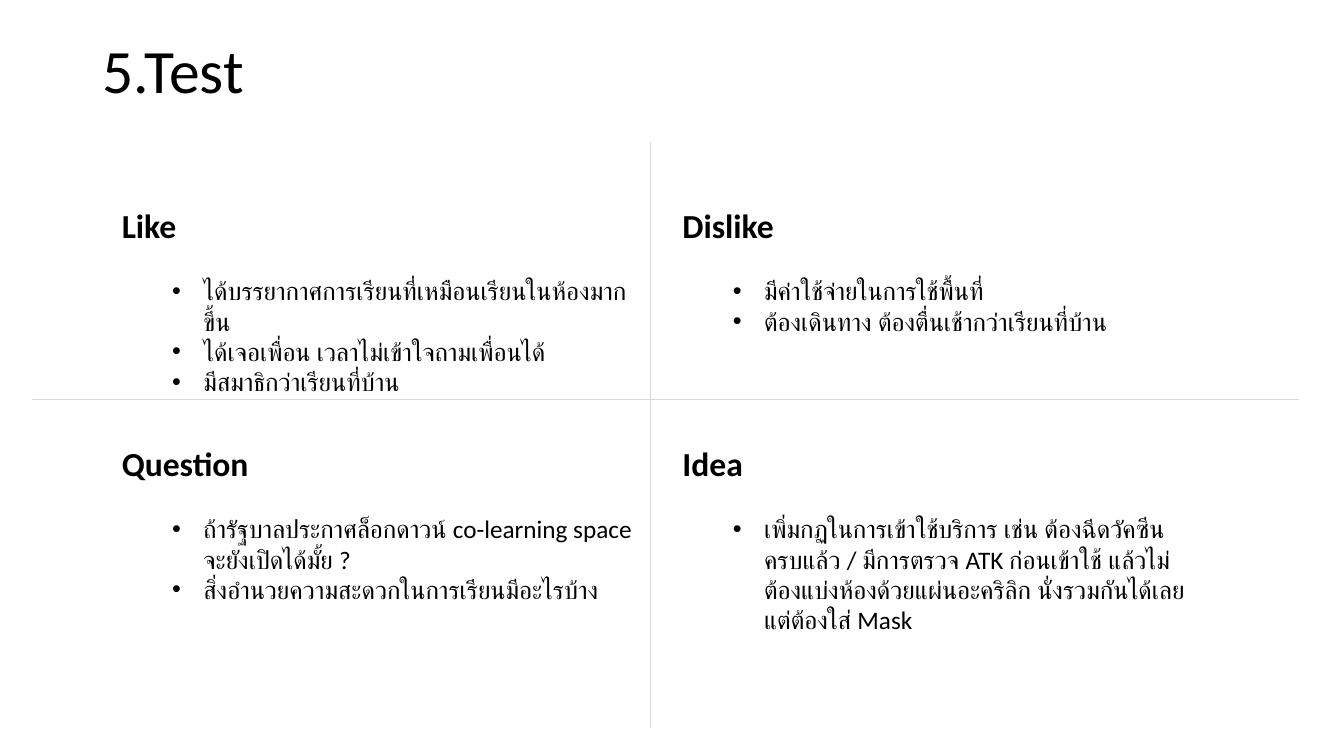
from dataclasses import dataclass

from lxml.etree import SubElement
from pptx import Presentation
from pptx.dml.color import RGBColor
from pptx.enum.shapes import MSO_CONNECTOR, MSO_SHAPE
from pptx.enum.text import MSO_ANCHOR, PP_ALIGN
from pptx.oxml.ns import qn
from pptx.util import Inches, Pt


@dataclass(frozen=True)
class Theme:
    font: str = "Calibri"
    ink: RGBColor = RGBColor(0x00, 0x00, 0x00)
    paper: RGBColor = RGBColor(0xFF, 0xFF, 0xFF)
    rule: RGBColor = RGBColor(0xD9, 0xD9, 0xD9)
    rule_width: float = 0.5
    title: int = 44
    heading: int = 24
    body: int = 18
    heading_gap: int = 22


THEME = Theme()
COLUMNS = (1.11, 6.67)
ROWS = ((1.98, 2.11), (4.34, 2.98))
QUADRANT_WIDTH = 5.34

FEEDBACK = (
    (
        ("Like", (
            "ได้บรรยากาศการเรียนที่เหมือนเรียนในห้องมากขึ้น",
            "ได้เจอเพื่อน เวลาไม่เข้าใจถามเพื่อนได้",
            "มีสมาธิกว่าเรียนที่บ้าน",
        )),
        ("Dislike", (
            "มีค่าใช้จ่ายในการใช้พื้นที่",
            "ต้องเดินทาง ต้องตื่นเช้ากว่าเรียนที่บ้าน",
        )),
    ),
    (
        ("Question", (
            "ถ้ารัฐบาลประกาศล็อกดาวน์ co-learning space จะยังเปิดได้มั้ย ?",
            "สิ่งอำนวยความสะดวกในการเรียนมีอะไรบ้าง",
        )),
        ("Idea", (
            "เพิ่มกฏในการเข้าใช้บริการ เช่น ต้องฉีดวัคซีนครบแล้ว / มีการตรวจ ATK ก่อนเข้าใช้ "
            "แล้วไม่ต้องแบ่งห้องด้วยแผ่นอะคริลิก นั่งรวมกันได้เลย แต่ต้องใส่ Mask",
        )),
    ),
)


def write(paragraph, text, *, size, bold=False, bullet=False, before=0, spacing=1.0):
    paragraph.alignment = PP_ALIGN.LEFT
    paragraph.space_before = Pt(before)
    paragraph.line_spacing = spacing
    if bullet:
        paragraph.level = 1
        properties = paragraph._p.get_or_add_pPr()
        properties.set("marL", str(Inches(0.81)))
        properties.set("indent", str(Inches(-0.31)))
        SubElement(properties, qn("a:buFont"), typeface="Arial")
        SubElement(properties, qn("a:buChar"), char="•")
    run = paragraph.add_run()
    run.text = text
    run.font.name = THEME.font
    run.font.size = Pt(size)
    run.font.bold = bold
    run.font.color.rgb = THEME.ink


def add_title(slide, text):
    title = slide.shapes.add_textbox(Inches(0.92), 0, Inches(11.5), Inches(1.45))
    frame = title.text_frame
    frame.word_wrap = True
    frame.vertical_anchor = MSO_ANCHOR.MIDDLE
    write(frame.paragraphs[0], text, size=THEME.title, spacing=0.9)


def add_quadrant(slide, left, top, height, heading, remarks):
    quadrant = slide.shapes.add_shape(
        MSO_SHAPE.RECTANGLE, Inches(left), Inches(top),
        Inches(QUADRANT_WIDTH), Inches(height),
    )
    quadrant.shadow.inherit = False
    quadrant.fill.solid()
    quadrant.fill.fore_color.rgb = THEME.paper
    quadrant.line.fill.background()
    frame = quadrant.text_frame
    frame.word_wrap = True
    frame.vertical_anchor = MSO_ANCHOR.TOP
    write(frame.paragraphs[0], heading, size=THEME.heading, bold=True)
    for index, remark in enumerate(remarks):
        write(frame.add_paragraph(), remark, size=THEME.body, bullet=True,
              before=0 if index else THEME.heading_gap)


def add_divider(slide, x1, y1, x2, y2):
    divider = slide.shapes.add_connector(
        MSO_CONNECTOR.STRAIGHT, Inches(x1), Inches(y1), Inches(x2), Inches(y2)
    )
    divider.line.color.rgb = THEME.rule
    divider.line.width = Pt(THEME.rule_width)
    SubElement(divider._element.spPr, qn("a:effectLst"))


def main():
    deck = Presentation()
    deck.slide_width, deck.slide_height = Inches(13.33), Inches(7.5)
    slide = deck.slides.add_slide(deck.slide_layouts[6])
    for (top, height), row in zip(ROWS, FEEDBACK):
        for left, (heading, remarks) in zip(COLUMNS, row):
            add_quadrant(slide, left, top, height, heading, remarks)
    add_divider(slide, 0.32, 3.96, 12.88, 3.96)
    add_divider(slide, 6.45, 1.41, 6.45, 7.22)
    add_title(slide, "5.Test")
    deck.save("out.pptx")


if __name__ == "__main__":
    main()
